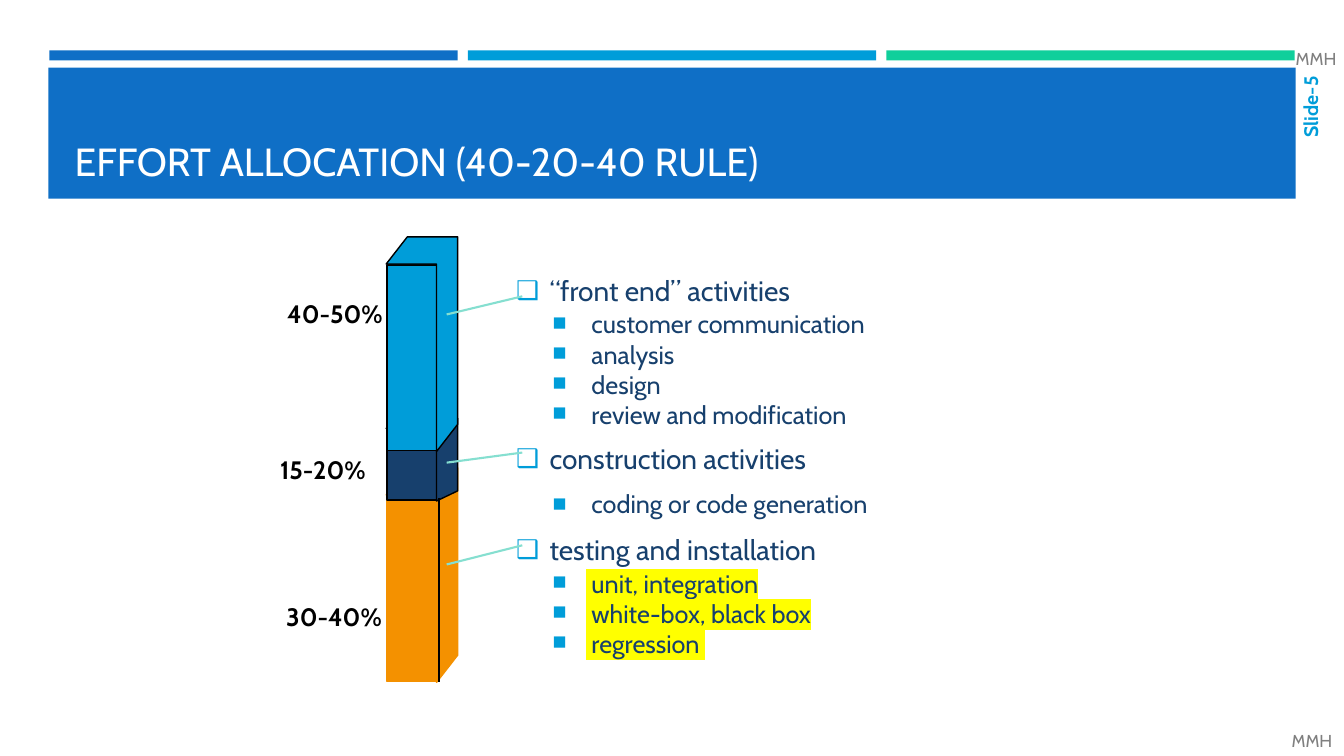
"""Build the effort allocation slide with its stacked bar and activity list."""
from lxml.etree import SubElement
from pptx import Presentation
from pptx.dml.color import RGBColor
from pptx.enum.shapes import MSO_CONNECTOR, MSO_SHAPE
from pptx.enum.text import MSO_ANCHOR, MSO_AUTO_SIZE, PP_ALIGN
from pptx.oxml.ns import qn
from pptx.util import Inches, Pt

FONT = "Cabin"
COLORS = {"blue": "0F6FC6", "sky": "009DD9", "green": "10CF9B", "navy": "17406D",
          "orange": "F49100", "mint": "85DFD0", "gray": "808080",
          "black": "000000", "white": "FFFFFF", "yellow": "FFFF00"}
TITLE = "EFFORT ALLOCATION (40-20-40 RULE)"
STRIPS = ["blue", "sky", "green"]
ACTIVITIES = [
    ("“front end” activities", 0.55, False,
     [" customer communication", " analysis", " design", " review and modification"]),
    ("construction activities", 1.0, False, [" coding or code generation"]),
    ("testing and installation", 0.55, True,
     [" unit, integration", " white-box, black box", " regression "]),
]
BLOCKS = [("orange", "orange", 4.91, 6.77, 0.27),
          ("navy", "black", 4.25, 4.97, 0.1),
          ("sky", "black", 2.62, 4.48, 0.27)]
SHARES = [("40-50%", 2.75, 2.94), ("30-40%", 2.74, 5.95), ("15-20%", 2.68, 4.49)]
LEADERS = [(2.94, 3.12), (4.49, 4.59), (5.41, 5.6)]
INITIALS = [(12.63, 7.2), (12.67, 0.43)]
STRIP_LEFT, STRIP_WIDTH, STRIP_PITCH = 0.49, 4.05, 4.15
BAR_LEFT, BAR_FRONT, BAR_RIGHT, BAR_BACK = 3.83, 4.33, 4.54, 4.04


def color(name):
    return RGBColor.from_string(COLORS[name])


def style(shape, fill, line=None):
    shape.shadow.inherit = False
    shape.fill.solid()
    shape.fill.fore_color.rgb = color(fill)
    if line:
        shape.line.color.rgb = color(line)
        shape.line.width = Pt(1)
    else:
        shape.line.fill.background()


def add_box(slide, left, top, width, height, fill, line=None):
    shape = slide.shapes.add_shape(MSO_SHAPE.RECTANGLE, Inches(left), Inches(top),
                                   Inches(width), Inches(height))
    style(shape, fill, line)


def place(shape, left, top, width, height):
    shape.left, shape.top = Inches(left), Inches(top)
    shape.width, shape.height = Inches(width), Inches(height)


def set_font(paragraph, size, name, bold=False):
    font = paragraph.font
    font.name, font.size, font.bold = FONT, Pt(size), bold
    font.color.rgb = color(name)


def add_label(slide, text, bounds, size, name, bold=False, anchor=MSO_ANCHOR.MIDDLE):
    label = slide.shapes.add_textbox(*(Inches(value) for value in bounds))
    frame = label.text_frame
    frame.word_wrap = True
    frame.vertical_anchor = anchor
    paragraph = frame.paragraphs[0]
    paragraph.text = text
    set_font(paragraph, size, name, bold)
    return frame


def add_line(slide, start, end, name):
    line = slide.shapes.add_connector(MSO_CONNECTOR.STRAIGHT,
                                      *(Inches(value) for value in start + end))
    line.line.color.rgb = color(name)
    line.line.width = Pt(1.5)
    SubElement(line._element.spPr, qn("a:effectLst"))


def add_block(slide, fill, line, top, bottom, depth):
    add_box(slide, BAR_LEFT + 0.01, top + 0.01, BAR_FRONT - BAR_LEFT - 0.01,
            bottom - top - 0.02, fill, line)
    outline = [(BAR_FRONT, bottom), (BAR_RIGHT, bottom - depth), (BAR_RIGHT, top - depth),
               (BAR_BACK, top - depth), (BAR_LEFT, top), (BAR_FRONT, top)]
    points = [(Inches(x), Inches(y)) for x, y in outline]
    builder = slide.shapes.build_freeform(*points[0])
    builder.add_line_segments(points[1:], close=True)
    style(builder.convert_to_shape(), fill, line)


def set_bullet(paragraph, symbol, margin):
    properties = paragraph._p.get_or_add_pPr()
    properties.set("marL", str(Inches(margin)))
    properties.set("indent", str(-Inches(0.33)))
    bullet_color = SubElement(properties, qn("a:buClr"))
    SubElement(bullet_color, qn("a:srgbClr"), val=COLORS["sky"])
    SubElement(properties, qn("a:buSzPct"), val="92000")
    SubElement(properties, qn("a:buChar"), char=symbol)


def highlight(run):
    mark = SubElement(run._r.get_or_add_rPr(), qn("a:highlight"))
    SubElement(mark, qn("a:srgbClr"), val=COLORS["yellow"])


def fill_list(frame):
    rows = []
    for heading, spacing, marked, items in ACTIVITIES:
        rows.append((heading, 0, 1.0, False))
        rows += [(item, 1, spacing, marked) for item in items]
    for index, (text, level, spacing, marked) in enumerate(rows):
        paragraph = frame.paragraphs[0] if index == 0 else frame.add_paragraph()
        size = 18 if level else 20
        paragraph.level = level
        set_bullet(paragraph, "■" if level else "❑", 0.69 if level else 0.33)
        paragraph.line_spacing = spacing
        paragraph.space_before = Pt(size * 0.2)
        paragraph.space_after = Pt(6)
        set_font(paragraph, size, "navy")
        run = paragraph.add_run()
        run.text = text
        if marked:
            highlight(run)


def main():
    presentation = Presentation()
    presentation.slide_width, presentation.slide_height = Inches(13.33), Inches(7.5)
    slide = presentation.slides.add_slide(presentation.slide_layouts[1])
    title, body = slide.placeholders

    for column, name in enumerate(STRIPS):
        add_box(slide, STRIP_LEFT + column * STRIP_PITCH, 0.5, STRIP_WIDTH, 0.1, name)
    add_box(slide, 0.48, 0.67, 12.37, 1.3, "blue")
    for placeholder in (title, body):
        slide.shapes._spTree.append(placeholder._element)
        placeholder.text_frame.auto_size = MSO_AUTO_SIZE.NONE
        placeholder.text_frame.word_wrap = True

    place(title, 0.64, 0.77, 12.06, 1.11)
    title.text_frame.text = TITLE
    title.text_frame.vertical_anchor = MSO_ANCHOR.BOTTOM
    title.text_frame.paragraphs[0].alignment = PP_ALIGN.LEFT
    set_font(title.text_frame.paragraphs[0], 28, "white")

    place(body, 5.02, 2.52, 4.33, 4.19)
    body.text_frame.vertical_anchor = MSO_ANCHOR.MIDDLE
    fill_list(body.text_frame)

    number = add_label(slide, "Slide-5", (12.87, 0.66, 0.25, 0.91), 14, "sky", True)
    number.margin_left = number.margin_right = Inches(0.05)
    number.margin_top = number.margin_bottom = Inches(0.05)
    number.paragraphs[0].alignment = PP_ALIGN.RIGHT
    number._txBody.bodyPr.set("vert", "vert270")

    for block in BLOCKS:
        add_block(slide, *block)
    for text, left, top in SHARES:
        share = add_label(slide, text, (left, top, 1.35, 0.46), 18, "black", True,
                          MSO_ANCHOR.TOP)
        share.paragraphs[0].line_spacing = 0.9
    for list_end, bar_end in LEADERS:
        add_line(slide, (5.18, list_end), (4.43, bar_end), "mint")
    add_line(slide, (4.35, 4.94), (4.35, 6.77), "black")
    for left, top in INITIALS:
        initials = add_label(slide, "MMH", (left, top, 0.7, 0.3), 12.3, "gray")
        initials.margin_left, initials.margin_right = Inches(0.18), 0
    presentation.save("out.pptx")


if __name__ == "__main__":
    main()
